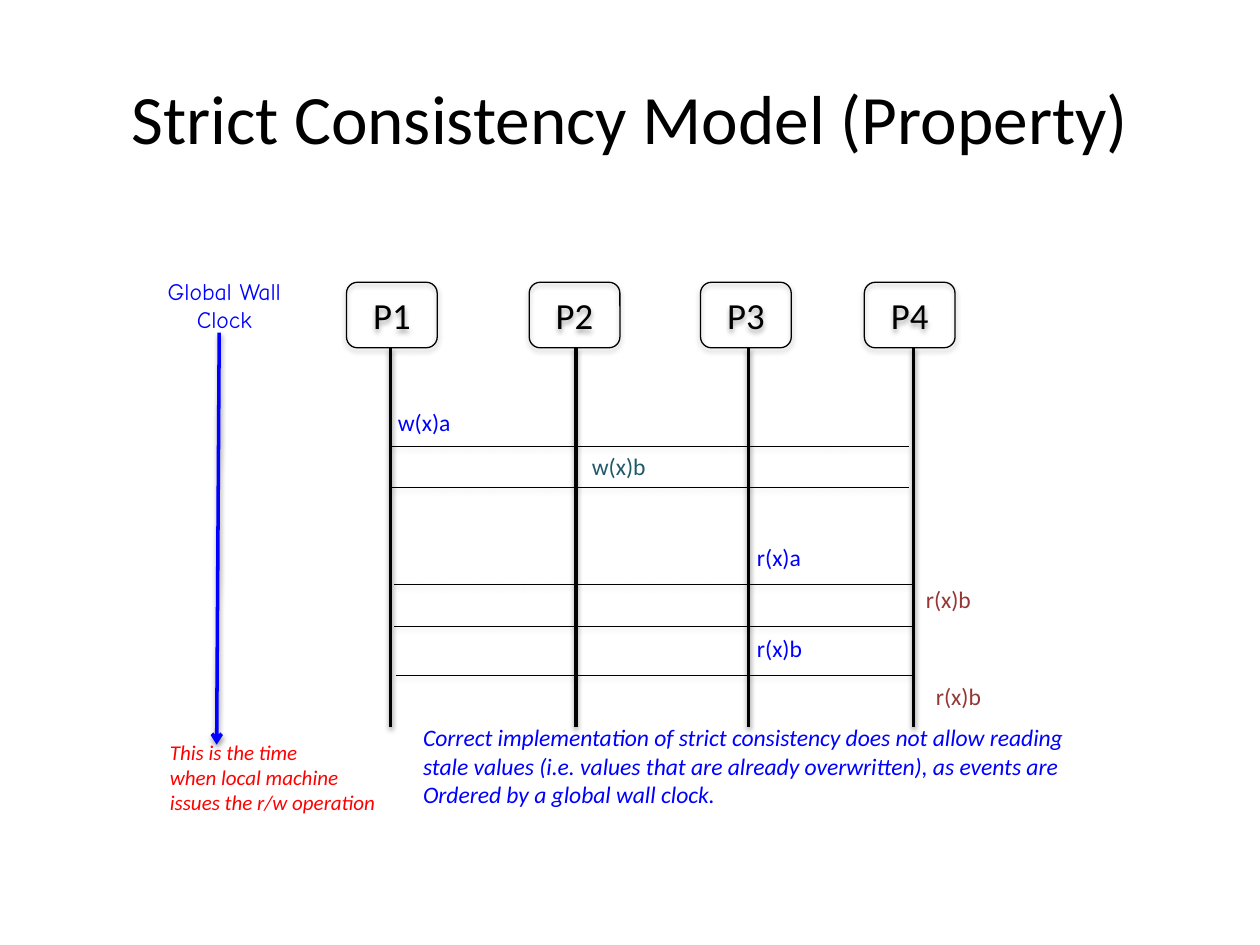
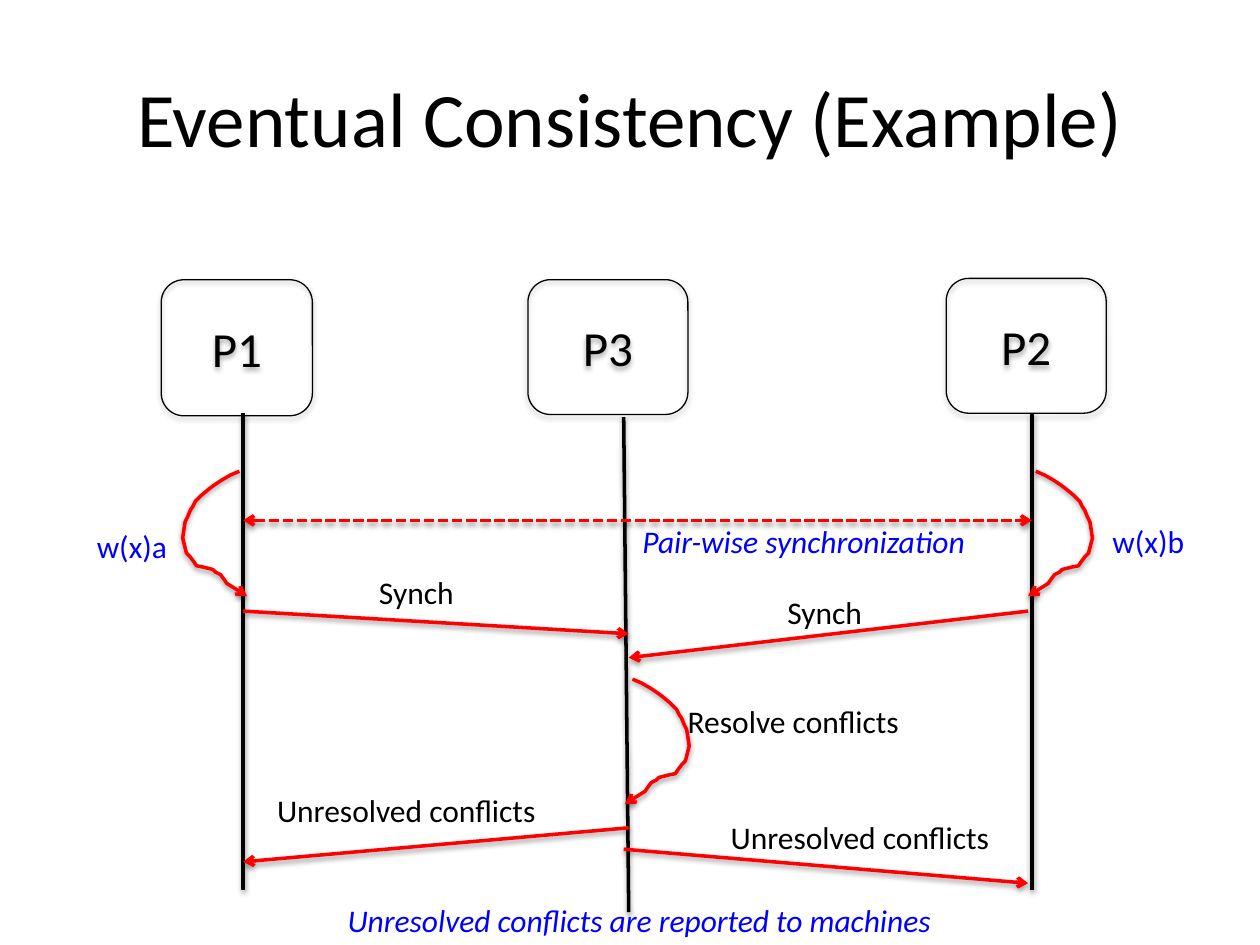
"""Builds two sequence diagrams on strict and eventual consistency."""
from dataclasses import dataclass

from lxml.etree import SubElement
from pptx import Presentation
from pptx.dml.color import RGBColor
from pptx.enum.dml import MSO_LINE
from pptx.enum.shapes import MSO_CONNECTOR, MSO_SHAPE
from pptx.enum.text import MSO_ANCHOR, MSO_AUTO_SIZE, PP_ALIGN
from pptx.oxml.ns import qn
from pptx.util import Inches, Pt


@dataclass(frozen=True)
class Theme:
    """Colours, fonts and sizes of the deck."""
    black: str = "000000"
    blue: str = "0000FF"
    red: str = "FF0000"
    teal: str = "215968"
    brown: str = "953735"
    font: str = "Calibri"
    clock_font: str = "Comic Neue"
    note: float = 12
    event: float = 13.5
    label: float = 18
    small_node: float = 21
    large_node: float = 28
    outline: float = 0.75
    hairline: float = 0.25
    stroke: float = 2


THEME = Theme()
WIDTH, HEIGHT = 10, 7.5
TITLE_BOX = (WIDTH * 0.05, HEIGHT * 0.04, WIDTH * 0.9, 1.25)

STRICT_TITLE = "Strict Consistency Model (Property)"
STRICT_NODES = [("P1", 2.75, 3.1), ("P2", 4.2, 4.57), ("P3", 5.56, 5.94), ("P4", 6.86, 7.25)]
STRICT_NODE_TOP, STRICT_NODE_SIZE, STRICT_LIFE = 2.24, (0.72, 0.52), (2.76, 5.77)
MOMENT_WIDTH = 4.11
MOMENTS = [(3.1, 3.54), (3.1, 3.87), (3.13, 4.64), (3.13, 4.97), (3.14, 5.36)]
EVENTS = [
    ("w(x)a", 3.06, 3.19, 0.63, THEME.blue),
    ("w(x)b", 4.6, 3.54, 0.63, THEME.teal),
    ("r(x)a", 5.91, 4.26, 0.56, THEME.blue),
    ("r(x)b", 5.91, 4.98, 0.57, THEME.blue),
    ("r(x)b", 7.25, 4.59, 0.57, THEME.brown),
    ("r(x)b", 7.33, 5.36, 0.57, THEME.brown),
]
CLOCK = ["Global Wall", "Clock"]
CLOCK_ARROW = ((1.74, 2.64), (1.72, 5.91))
CLOCK_NOTE = ["This is the time", "when local machine", "issues the r/w operation"]
STRICT_NOTE = [
    "Correct implementation of strict consistency does not allow reading",
    "stale values (i.e. values that are already overwritten), as events are",
    "Ordered by a global wall clock.",
]

EVENTUAL_TITLE = "Eventual Consistency (Example)"
EVENTUAL_NODES = [
    ("P1", (1.28, 2.22, 1.2, 1.08), ((1.93, 3.28), (1.93, 7.06))),
    ("P3", (4.19, 2.22, 1.27, 1.07), ((4.95, 3.31), (4.99, 7.24))),
    ("P2", (7.51, 2.21, 1.27, 1.07), ((8.19, 3.28), (8.19, 7.06))),
]
MESSAGES = [
    ((1.93, 4.85), (4.99, 5.03)),
    ((8.16, 4.85), (4.99, 5.22)),
    ((4.99, 6.57), (1.93, 6.84)),
    ((4.95, 6.74), (8.16, 7.01)),
]
PAIRWISE = ((1.93, 4.13), (8.19, 4.13))
LOOP_CURVE = [
    (0, 0), (0.07, 0.03), (0.14, 0.07), (0.2, 0.11), (0.24, 0.14), (0.3, 0.19), (0.35, 0.24),
    (0.37, 0.28), (0.39, 0.31), (0.41, 0.36), (0.43, 0.4), (0.44, 0.46), (0.45, 0.53),
    (0.43, 0.61), (0.42, 0.65), (0.39, 0.68), (0.36, 0.72), (0.34, 0.75), (0.29, 0.76),
    (0.21, 0.78), (0.19, 0.8), (0.15, 0.82), (0.12, 0.86), (0.1, 0.89), (0.02, 0.94),
    (-0.01, 0.97), (-0.06, 0.99),
]
LOOPS = [(1.9, 3.74, -1), (8.22, 3.74, 1), (5.02, 5.39, 1)]
LABELS = [
    ("w(x)a", 0.67, 4.13, 0.77, THEME.blue, False),
    ("w(x)b", 8.73, 4.09, 0.78, THEME.blue, False),
    ("Pair-wise synchronization", 5, 4.09, 2.87, THEME.blue, True),
    ("Synch", 2.91, 4.5, 0.8, THEME.black, False),
    ("Synch", 6.15, 4.66, 0.8, THEME.black, False),
    ("Resolve conflicts", 5.36, 5.52, 1.91, THEME.black, False),
    ("Unresolved conflicts", 2.1, 6.23, 2.28, THEME.black, False),
    ("Unresolved conflicts", 5.7, 6.44, 2.28, THEME.black, False),
    ("Unresolved conflicts are reported to machines", 2.66, 7.1, 4.95, THEME.blue, True),
]


def inches(values):
    return [Inches(value) for value in values]


def add_shadow(shape, distance, opacity):
    properties = shape._element.spPr
    for old in properties.findall(qn("a:effectLst")):
        properties.remove(old)
    effects = SubElement(properties, qn("a:effectLst"))
    shadow = SubElement(effects, qn("a:outerShdw"), blurRad=str(Pt(3.1)), dist=str(Pt(distance)),
                        dir="5400000", rotWithShape="0")
    colour = SubElement(shadow, qn("a:srgbClr"), val=THEME.black)
    SubElement(colour, qn("a:alpha"), val=str(opacity * 1000))


def style_line(shape, colour, width, dash=None, ends=()):
    shape.line.color.rgb = RGBColor.from_string(colour)
    shape.line.width = Pt(width)
    if dash:
        shape.line.dash_style = dash
    for end in ends:
        SubElement(shape.line._ln, qn(f"a:{end}End"), type="arrow")
    add_shadow(shape, 1.6, 38)


def write(shape, lines, size, colour, centred=False, italic=False, font=THEME.font):
    frame = shape.text_frame
    frame.text = "\n".join(lines)
    for paragraph in frame.paragraphs:
        paragraph.alignment = PP_ALIGN.CENTER if centred else PP_ALIGN.LEFT
        for run in paragraph.runs:
            run.font.name = font
            run.font.size = Pt(size)
            run.font.italic = italic
            run.font.color.rgb = RGBColor.from_string(colour)


def add_label(page, lines, area, size, colour, **style):
    box = page.shapes.add_textbox(*inches(area))
    box.text_frame.word_wrap = False
    box.text_frame.auto_size = MSO_AUTO_SIZE.SHAPE_TO_FIT_TEXT
    write(box, lines, size, colour, **style)


def add_page(deck, title, size):
    page = deck.slides.add_slide(deck.slide_layouts[6])
    box = page.shapes.add_textbox(*inches(TITLE_BOX))
    box.text_frame.word_wrap = True
    box.text_frame.vertical_anchor = MSO_ANCHOR.MIDDLE
    write(box, [title], size, THEME.black, centred=True)
    return page


def add_node(page, name, area, size):
    node = page.shapes.add_shape(MSO_SHAPE.ROUNDED_RECTANGLE, *inches(area))
    node.fill.background()
    node.line.color.rgb = RGBColor.from_string(THEME.black)
    node.line.width = Pt(THEME.outline)
    add_shadow(node, 1.8, 35)
    node.text_frame.vertical_anchor = MSO_ANCHOR.MIDDLE
    write(node, [name], size, THEME.black, centred=True)


def add_line(page, start, end, colour=THEME.black, width=THEME.stroke, dash=None, ends=()):
    line = page.shapes.add_connector(MSO_CONNECTOR.STRAIGHT, *inches((*start, *end)))
    style_line(line, colour, width, dash, ends)


def add_loop(page, left, top, direction):
    points = [inches((left + direction * across, top + down)) for across, down in LOOP_CURVE]
    builder = page.shapes.build_freeform(*points[0])
    builder.add_line_segments(points[1:], close=False)
    loop = builder.convert_to_shape()
    loop.fill.background()
    style_line(loop, THEME.red, THEME.stroke, ends=("tail",))


def build_strict(deck):
    page = add_page(deck, STRICT_TITLE, 39.6)
    for name, left, lane in STRICT_NODES:
        add_node(page, name, (left, STRICT_NODE_TOP, *STRICT_NODE_SIZE), THEME.small_node)
        add_line(page, (lane, STRICT_LIFE[0]), (lane, STRICT_LIFE[1]))
    add_line(page, *CLOCK_ARROW, THEME.blue, ends=("tail",))
    for left, top in MOMENTS:
        add_line(page, (left, top), (left + MOMENT_WIDTH, top), width=THEME.hairline,
                 dash=MSO_LINE.ROUND_DOT)
    for text, left, top, width, colour in EVENTS:
        add_label(page, [text], (left, top, width, 0.33), THEME.event, colour)
    add_label(page, CLOCK, (1.22, 2.15, 1.12, 0.56), THEME.event, THEME.blue,
              centred=True, font=THEME.clock_font)
    add_label(page, CLOCK_NOTE, (1.25, 5.82, 1.85, 0.71), THEME.note, THEME.red, italic=True)
    add_label(page, STRICT_NOTE, (3.26, 5.69, 5.4, 0.78), THEME.event, THEME.blue, italic=True)


def build_eventual(deck):
    page = add_page(deck, EVENTUAL_TITLE, 44)
    for name, area, life in EVENTUAL_NODES:
        add_node(page, name, area, THEME.large_node)
        add_line(page, *life)
    for loop in LOOPS:
        add_loop(page, *loop)
    for message in MESSAGES:
        add_line(page, *message, THEME.red, ends=("tail",))
    add_line(page, *PAIRWISE, THEME.red, dash=MSO_LINE.SQUARE_DOT, ends=("head", "tail"))
    for text, left, top, width, colour, italic in LABELS:
        add_label(page, [text], (left, top, width, 0.4), THEME.label, colour, italic=italic)


def main():
    deck = Presentation()
    deck.slide_width, deck.slide_height = inches((WIDTH, HEIGHT))
    build_strict(deck)
    build_eventual(deck)
    deck.save("out.pptx")


if __name__ == "__main__":
    main()
